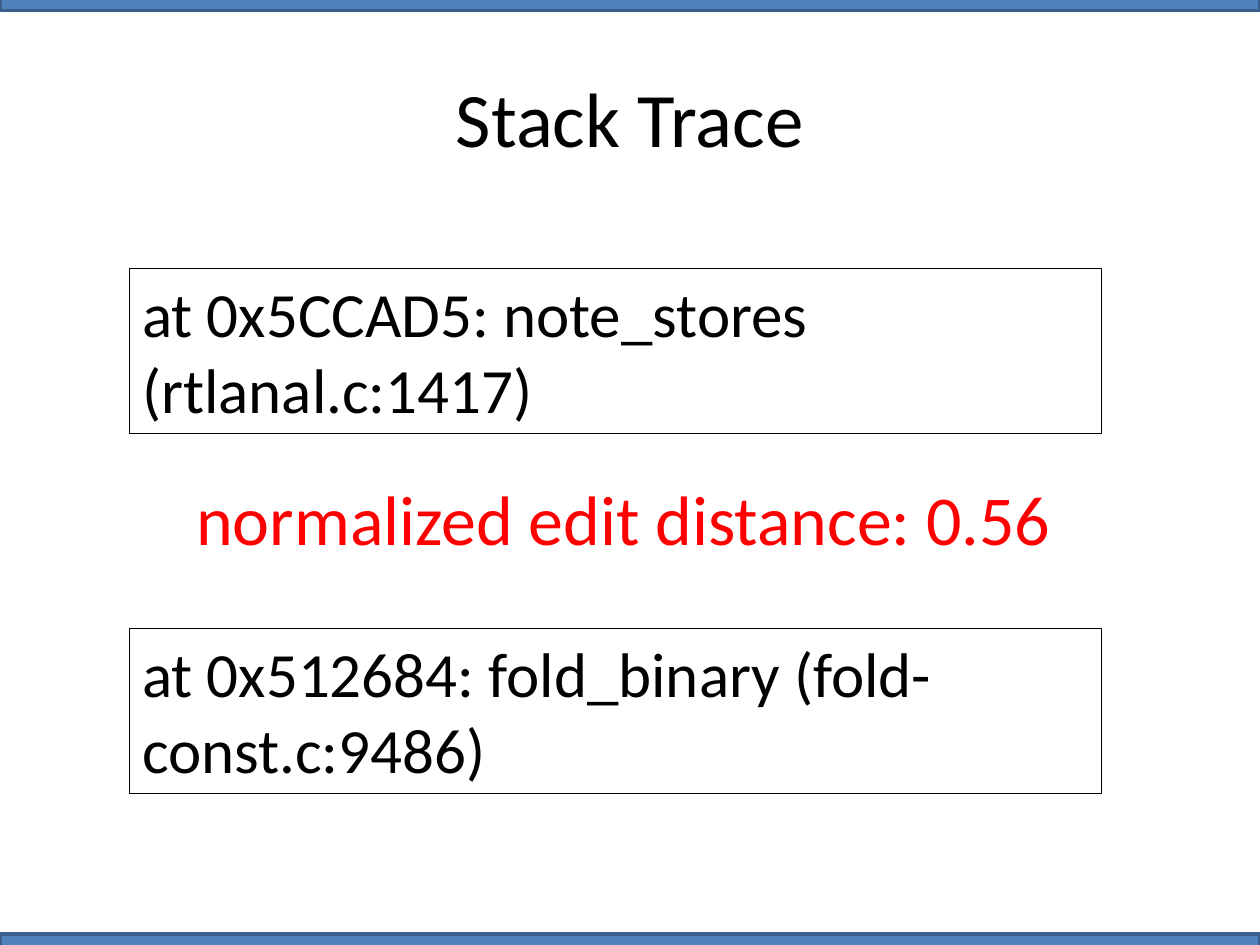
from pptx import Presentation
from pptx.dml.color import RGBColor
from pptx.enum import shapes, text
from pptx.util import Inches, Pt

COLORS = {
    "band": "4F81BD",
    "band_line": "3A5F8C",
    "text": "000000",
    "distance": "FF0000",
}
FONT = "Calibri"
SLIDE_WIDTH, SLIDE_HEIGHT = 10, 7.5
BAND_HEIGHT = 0.17


def color(name):
    return RGBColor.from_string(COLORS[name])


def write(shape, content, size, color_name, alignment, anchor):
    frame = shape.text_frame
    frame.text = content
    frame.word_wrap = True
    frame.vertical_anchor = anchor
    paragraph = frame.paragraphs[0]
    paragraph.alignment = alignment
    font = paragraph.runs[0].font
    font.name = FONT
    font.size = Pt(size)
    font.color.rgb = color(color_name)


def add_band(slide, center):
    """Add a full-width bar centred on a horizontal slide edge."""
    band = slide.shapes.add_shape(
        shapes.MSO_SHAPE.RECTANGLE, 0, Inches(center - BAND_HEIGHT / 2),
        Inches(SLIDE_WIDTH), Inches(BAND_HEIGHT))
    band.shadow.inherit = False
    band.fill.solid()
    band.fill.fore_color.rgb = color("band")
    band.line.color.rgb = color("band_line")
    band.line.width = Pt(2)


def add_title(slide, content):
    title = slide.shapes.add_textbox(
        Inches(0.5), Inches(0.3), Inches(9), Inches(1.25))
    write(title, content, 44, "text", text.PP_ALIGN.CENTER,
          text.MSO_ANCHOR.MIDDLE)


def add_frame_box(slide, top, content):
    """Add an outlined box holding one stack frame."""
    box = slide.shapes.add_textbox(
        Inches(1.03), Inches(top), Inches(7.71), Inches(1.31))
    box.line.color.rgb = color("text")
    box.line.width = Pt(0.75)
    write(box, content, 36, "text", text.PP_ALIGN.LEFT, text.MSO_ANCHOR.TOP)
    box.text_frame.auto_size = text.MSO_AUTO_SIZE.SHAPE_TO_FIT_TEXT


def add_distance(slide, content):
    label = slide.shapes.add_shape(
        shapes.MSO_SHAPE.ROUNDED_RECTANGLE,
        Inches(1.03), Inches(3.72), Inches(7.84), Inches(0.78))
    label.shadow.inherit = False
    label.fill.background()
    label.line.fill.background()
    write(label, content, 40, "distance", text.PP_ALIGN.CENTER,
          text.MSO_ANCHOR.MIDDLE)


def main():
    presentation = Presentation()
    presentation.slide_width = Inches(SLIDE_WIDTH)
    presentation.slide_height = Inches(SLIDE_HEIGHT)
    slide = presentation.slides.add_slide(presentation.slide_layouts[6])

    for edge in (SLIDE_HEIGHT, 0):
        add_band(slide, edge)
    add_title(slide, "Stack Trace")
    add_frame_box(slide, 4.99, "at 0x512684: fold_binary (fold-const.c:9486)")
    add_frame_box(slide, 2.13, "at 0x5CCAD5: note_stores (rtlanal.c:1417)")
    add_distance(slide, "normalized edit distance: 0.56")

    presentation.save("out.pptx")


if __name__ == "__main__":
    main()
